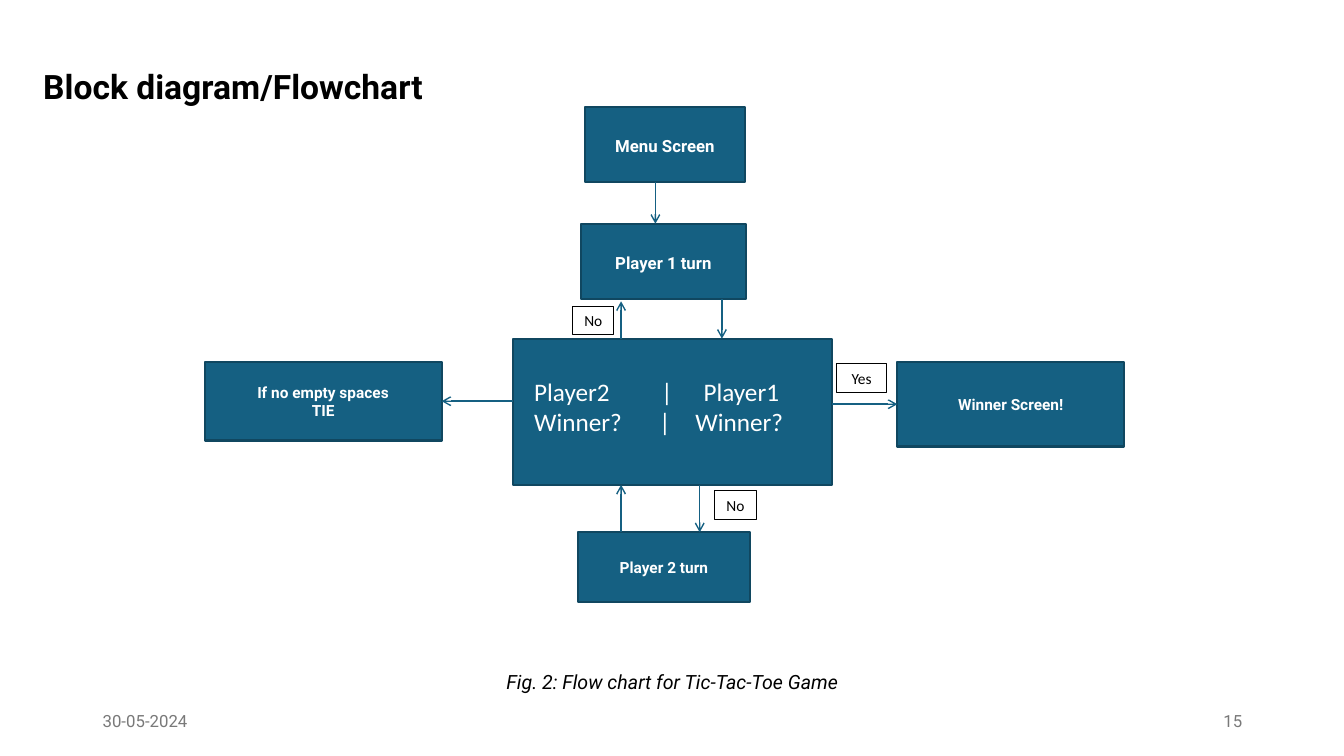
from lxml import etree
from pptx import Presentation
from pptx.dml.color import RGBColor
from pptx.enum.shapes import MSO_CONNECTOR, MSO_SHAPE
from pptx.enum.text import MSO_ANCHOR, PP_ALIGN
from pptx.oxml.ns import qn
from pptx.util import Inches, Pt

RECTANGLE = MSO_SHAPE.RECTANGLE
STRAIGHT = MSO_CONNECTOR.STRAIGHT
TOP, MIDDLE = MSO_ANCHOR.TOP, MSO_ANCHOR.MIDDLE
LEFT, CENTER, RIGHT = PP_ALIGN.LEFT, PP_ALIGN.CENTER, PP_ALIGN.RIGHT
LEFT_SIDE, RIGHT_SIDE = 1, 3

# The slide is a grid of square cells, ten to the inch
CELLS_PER_INCH = 10
COLUMNS, ROWS = 133.3, 75

COLORS = {
    "block": "156082",
    "border": "104760",
    "black": "000000",
    "white": "FFFFFF",
    "footer": "797979",
}


def cells(count):
    return Inches(count / CELLS_PER_INCH)


def color(name):
    return RGBColor.from_string(COLORS[name])


def add_line(frame, index, text, size, font="Roboto", ink="black",
             align=LEFT, bold=False, italic=False, tabs=()):
    """Write one paragraph; tabs are in cells from the text's left edge."""
    para = frame.paragraphs[0] if index == 0 else frame.add_paragraph()
    para.alignment = align
    if tabs:
        tab_list = etree.SubElement(para._p.get_or_add_pPr(), qn("a:tabLst"))
        for tab in tabs:
            etree.SubElement(tab_list, qn("a:tab"), pos=str(cells(tab)), algn="l")
    span = para.add_run()
    span.text = text
    span.font.name = font
    span.font.size = Pt(size)
    span.font.bold = bold
    span.font.italic = italic
    span.font.color.rgb = color(ink)
    return para


def add_text(page, place, anchor=TOP, wrap=True):
    frame = page.shapes.add_textbox(*map(cells, place)).text_frame
    frame.word_wrap = wrap
    frame.vertical_anchor = anchor
    return frame


def add_box(page, place, fill, border, width, anchor):
    box = page.shapes.add_shape(RECTANGLE, *map(cells, place))
    box.shadow.inherit = False
    box.fill.solid()
    box.fill.fore_color.rgb = color(fill)
    box.line.color.rgb = color(border)
    box.line.width = Pt(width)
    box.text_frame.vertical_anchor = anchor
    return box


def add_block(page, place, lines=(), size=11, spaced=False):
    box = add_box(page, place, "block", "border", 1.5, MIDDLE)
    for index, text in enumerate(lines):
        para = add_line(box.text_frame, index, text, size, ink="white",
                        align=CENTER, bold=True)
        if spaced:
            para.line_spacing = 1.15
            para.space_after = Pt(8)
    return box


def add_label(page, left, top, width, text):
    box = add_box(page, (left, top, width, 2.8), "white", "black", 0.75, TOP)
    add_line(box.text_frame, 0, text, 11, font="Calibri", align=CENTER)


def add_arrow(page, start, end):
    arrow = page.shapes.add_connector(STRAIGHT, *map(cells, (*start, *end)))
    arrow.line.color.rgb = color("block")
    arrow.line.width = Pt(1)
    etree.SubElement(arrow.line._get_or_add_ln(), qn("a:tailEnd"), type="arrow")
    etree.SubElement(arrow._element.spPr, qn("a:effectLst"))
    return arrow


def add_page_texts(page):
    footer_top, footer_height = 69.5, 4
    for left, text, align in ((9.2, "30-05-2024", LEFT), (94.2, "15", RIGHT)):
        frame = add_text(page, (left, footer_top, 30, footer_height), MIDDLE)
        add_line(frame, 0, text, 12, ink="footer", align=align)

    title = add_text(page, (3.3, 6, 40.4, 5), wrap=False)
    add_line(title, 0, "Block diagram/Flowchart", 24, bold=True)

    caption = add_text(page, (19.5, 66, 94.4, 3.4))
    add_line(caption, 0, "Fig. 2: Flow chart for Tic-Tac-Toe Game", 14,
             align=CENTER, italic=True)


def add_decision(page):
    add_block(page, (50.9, 33.6, 31.6, 14.5))
    frame = add_text(page, (52, 36.8, 29.3, 7.1))
    rows = (("Player2\t|\tPlayer1", (12.6, 16.8)),
            ("Winner?\t|\tWinner?", (12.4, 16)))
    for index, (text, tabs) in enumerate(rows):
        add_line(frame, index, text, 18, font="Calibri", ink="white", tabs=tabs)


def add_flowchart(page):
    # Blocks
    add_block(page, (58, 10.6, 15.9, 7.5), ["Menu Screen"], 12, spaced=True)
    add_block(page, (57.6, 22.2, 16.4, 7.5), ["Player 1 turn"], 12, spaced=True)
    add_decision(page)
    add_block(page, (57.3, 52.8, 17.1, 6.9), ["Player 2 turn"])
    winner = add_block(page, (89, 35.9, 22.5, 8.4), ["Winner Screen!"])
    tie = add_block(page, (20.3, 35.9, 23.5, 7.8), ["If no empty spaces", "TIE"])

    # Vertical arrows: column, start row, end row
    for column, start, end in ((65, 18.1, 22.2), (71.6, 29.7, 33.6),
                               (61.6, 33.6, 29.9), (61.6, 52.8, 48.1),
                               (69.4, 48.1, 52.8)):
        add_arrow(page, (column, start), (column, end))

    # Arrows to the two outcomes
    add_arrow(page, (82.5, 40.1), (89, 40.1)).end_connect(winner, LEFT_SIDE)
    add_arrow(page, (50.9, 39.8), (43.8, 39.8)).end_connect(tie, RIGHT_SIDE)

    # Answers beside the arrows
    add_label(page, 56.8, 30.4, 4.1, "No")
    add_label(page, 70.9, 48.7, 4.1, "No")
    add_label(page, 83, 36.1, 4.9, "Yes")


def main():
    deck = Presentation()
    deck.slide_width, deck.slide_height = cells(COLUMNS), cells(ROWS)
    page = deck.slides.add_slide(deck.slide_layouts[6])
    add_page_texts(page)
    add_flowchart(page)
    deck.save("out.pptx")


if __name__ == "__main__":
    main()
